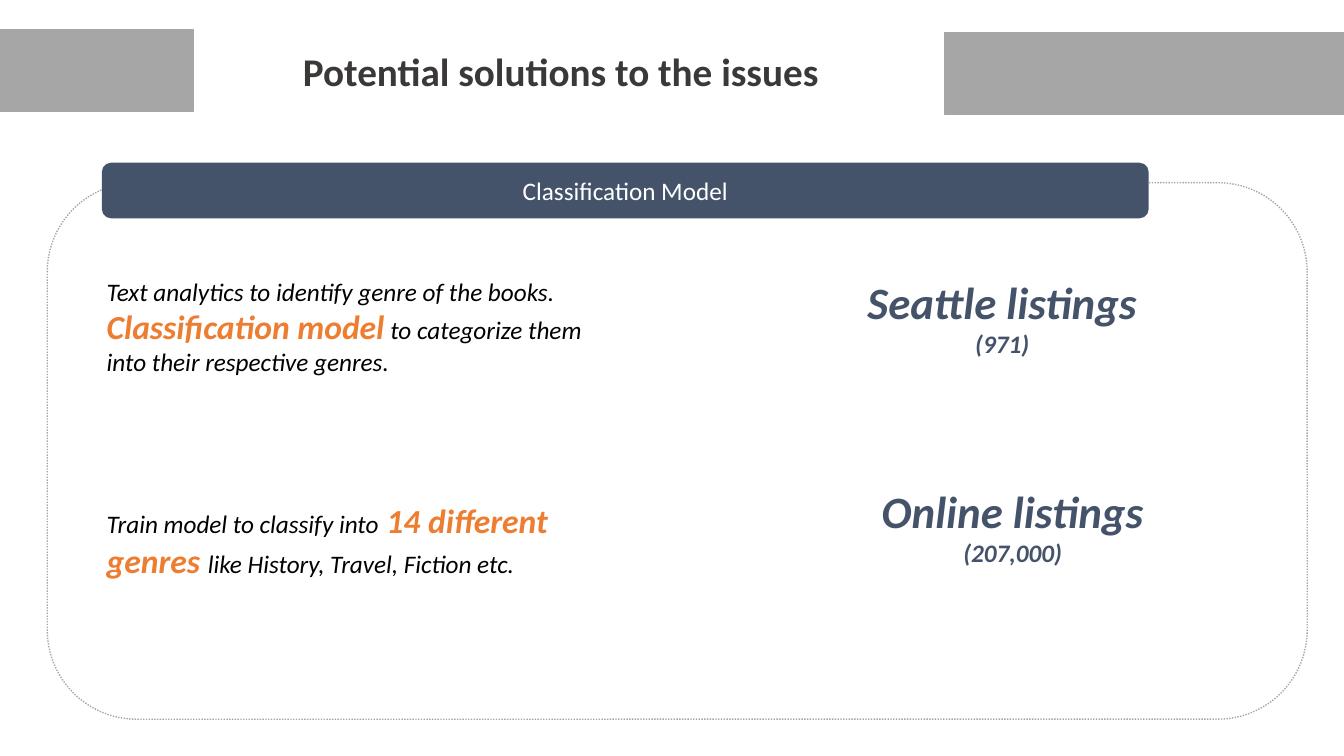
"""Build the slide on potential solutions with a classification model."""
from dataclasses import dataclass
from typing import Optional

from lxml import etree
from pptx import Presentation, util as u
from pptx.dml.color import RGBColor
from pptx.enum import dml, shapes, text
from pptx.oxml import ns

PX = 9525
FONT = "Calibri"
COLORS = {"grey": "A6A6A6", "title": "3B3838", "navy": "44536A",
          "orange": "ED7D31", "black": "000000", "white": "FFFFFF"}
SHAPE = shapes.MSO_SHAPE
ALIGN = text.PP_ALIGN


@dataclass
class Box:
    x: int
    y: int
    w: int
    h: int

    def emu(self) -> tuple:
        return tuple(u.Emu(v * PX) for v in (self.x, self.y, self.w, self.h))


@dataclass
class Panel:
    box: Box
    kind: int
    fill: Optional[str] = None
    line: Optional[str] = None
    label: str = ""


@dataclass
class Listing:
    box: Box
    name: str
    count: str


PANELS = [
    Panel(Box(0, 28, 184, 78), SHAPE.RECTANGLE, "grey", "grey"),
    Panel(Box(900, 31, 380, 78), SHAPE.RECTANGLE, "grey", "grey"),
    Panel(Box(45, 174, 1200, 511), SHAPE.ROUNDED_RECTANGLE, line="grey"),
    Panel(Box(97, 155, 997, 53), SHAPE.ROUNDED_RECTANGLE, "navy",
          label="Classification Model"),
]
LISTINGS = [
    Listing(Box(753, 257, 403, 94), "Seattle listings", "(971)"),
    Listing(Box(797, 456, 335, 90), "Online listings", "(207,000)"),
]
POINTS = [
    [("Text analytics to identify genre of the books. ", False),
     ("Classification model", True),
     (" to categorize them into their respective genres.", False)],
    [("Train model to classify into", False),
     (" 14 different genres ", True),
     ("like History, Travel, Fiction etc.", False)],
]


def color(name: str) -> RGBColor:
    return RGBColor.from_string(COLORS[name])


def add_text(p, content: str, *, size: int = 18, hue: str = "black",
             bold: bool = False, italic: bool = False) -> None:
    r = p.add_run()
    r.text = content
    f = r.font
    f.name, f.size, f.bold, f.italic = FONT, u.Pt(size), bold, italic
    f.color.rgb = color(hue)


def set_frame(tf, anchor=text.MSO_ANCHOR.TOP) -> None:
    tf.word_wrap = True
    tf.auto_size = text.MSO_AUTO_SIZE.NONE
    tf.vertical_anchor = anchor


def place(sp, box: Box) -> None:
    sp.left, sp.top, sp.width, sp.height = box.emu()


def add_panel(s, panel: Panel) -> None:
    sp = s.shapes.add_shape(panel.kind, *panel.box.emu())
    sp.shadow.inherit = False
    if panel.fill:
        sp.fill.solid()
        sp.fill.fore_color.rgb = color(panel.fill)
    else:
        sp.fill.background()
    if panel.line:
        sp.line.color.rgb = color(panel.line)
        sp.line.width = u.Pt(1)
        if not panel.fill:
            sp.line.dash_style = dml.MSO_LINE.ROUND_DOT
    else:
        sp.line.fill.background()
    if panel.label:
        set_frame(sp.text_frame, text.MSO_ANCHOR.MIDDLE)
        p = sp.text_frame.paragraphs[0]
        p.alignment = ALIGN.CENTER
        add_text(p, panel.label, hue="white")


def add_listing(s, listing: Listing) -> None:
    tf = s.shapes.add_textbox(*listing.box.emu()).text_frame
    set_frame(tf)
    lines = [(listing.name, 32), (listing.count, 18)]
    for i, (content, size) in enumerate(lines):
        p = tf.add_paragraph() if i else tf.paragraphs[0]
        p.alignment = ALIGN.CENTER
        add_text(p, content, size=size, hue="navy", bold=True, italic=True)


def fill_title(sp) -> None:
    place(sp, Box(176, 28, 716, 78))
    set_frame(sp.text_frame, text.MSO_ANCHOR.MIDDLE)
    p = sp.text_frame.paragraphs[0]
    p.alignment = ALIGN.CENTER
    add_text(p, "Potential solutions to the issues", size=28, hue="title",
             bold=True)


def fill_points(sp) -> None:
    place(sp, Box(92, 258, 503, 300))
    tf = sp.text_frame
    set_frame(tf)
    for i, runs in enumerate(POINTS):
        p = tf.add_paragraph() if i else tf.paragraphs[0]
        ppr = p._p.get_or_add_pPr()
        ppr.set("marL", "0")
        ppr.set("indent", "0")
        etree.SubElement(ppr, ns.qn("a:buNone"))
        p.alignment = ALIGN.LEFT
        p.space_before = u.Pt(88 if i else 0)
        for content, strong in runs:
            add_text(p, content, size=24 if strong else 18,
                     hue="orange" if strong else "black",
                     bold=strong, italic=True)


def main() -> None:
    prs = Presentation()
    prs.slide_width, prs.slide_height = u.Emu(1280 * PX), u.Emu(720 * PX)
    s = prs.slides.add_slide(prs.slide_layouts[1])
    fill_title(s.shapes.title)
    fill_points(s.placeholders[1])
    for panel in PANELS:
        add_panel(s, panel)
    for listing in LISTINGS:
        add_listing(s, listing)
    prs.save("out.pptx")


if __name__ == "__main__":
    main()
